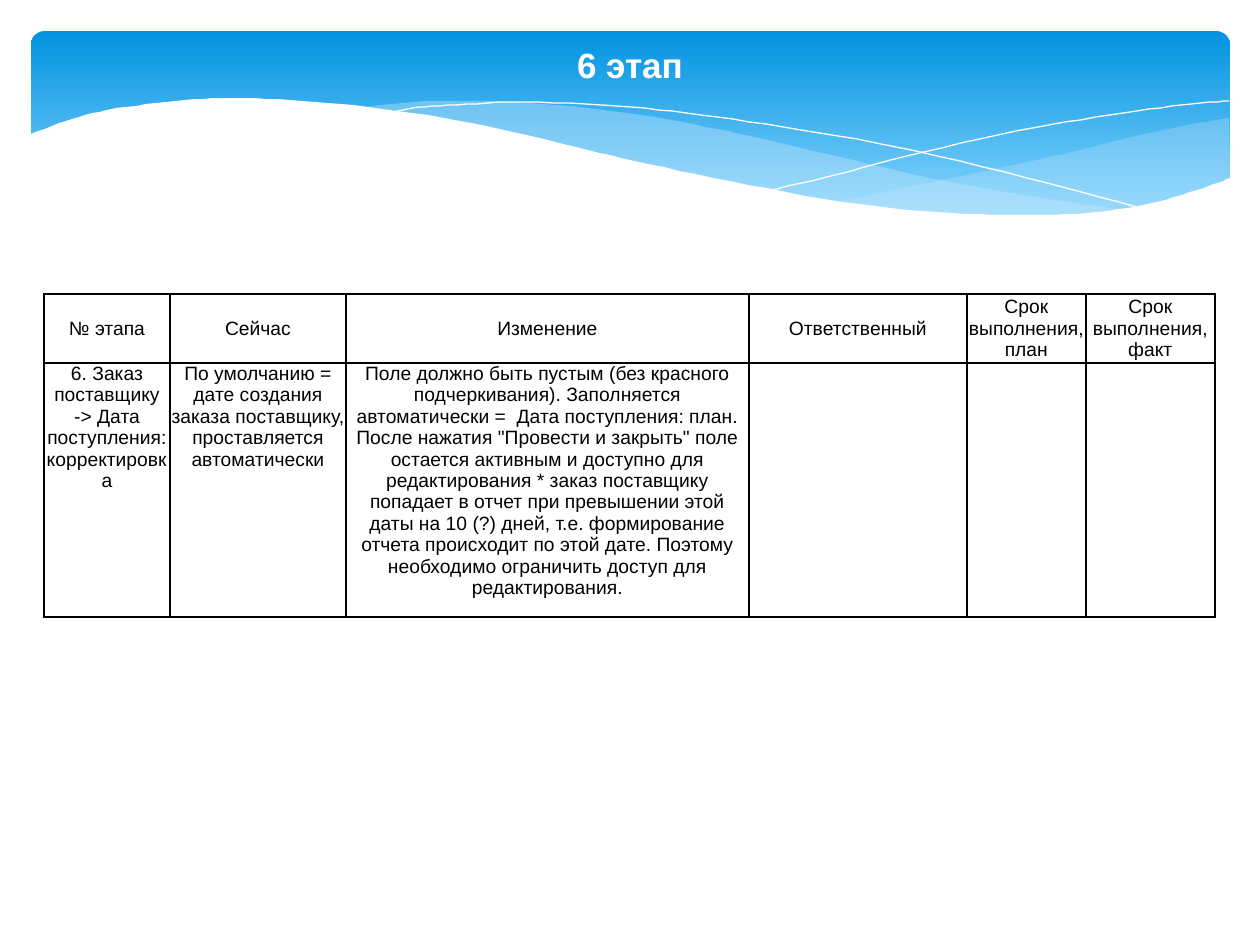
from pptx import Presentation, util as u
from pptx.dml.color import RGBColor
from pptx.enum import shapes, text
from pptx.oxml import parse_xml
from pptx.oxml.ns import nsdecls, qn
from lxml import etree

PX = 914400 / 126
COLORS = {"white": "FFFFFF", "black": "000000", "sky_top": "0293E0",
          "sky_bottom": "83D3FE", "mist": "C6E7FC"}
FONT = "Arial"

HEADERS = ["№ этапа", "Сейчас", "Изменение", "Ответственный",
           "Срок выполнения, план", "Срок выполнения, факт"]
STAGE = [
    "6. Заказ поставщику -> Дата поступления: корректировка",
    "По умолчанию = дате создания заказа поставщику, проставляется автоматически",
    "Поле должно быть пустым (без красного подчеркивания). Заполняется "
    "автоматически =  Дата поступления: план. После нажатия \"Провести и закрыть\" "
    "поле остается активным и доступно для редактирования * заказ поставщику "
    "попадает в отчет при превышении этой даты на 10 (?) дней, т.е. формирование "
    "отчета происходит по этой дате. Поэтому необходимо ограничить доступ для "
    "редактирования.",
    "", "", ""]

RIGHT_WAVE_TOP = [(1229, 118), (1178, 127), (1123, 139), (1085, 149), (1014, 165),
                  (919, 185), (833, 202)]
RIGHT_WAVE_BOTTOM = [(833, 202), (888, 208), (954, 214), (1026, 217), (1087, 214),
                     (1140, 205), (1187, 194), (1230, 178)]
LONG_WAVE_TOP = [(1125, 210), (1055, 200), (934, 179), (793, 146), (717, 129),
                 (648, 116), (557, 105), (479, 101), (413, 102), (360, 108)]
LONG_WAVE_BOTTOM = [(360, 108), (431, 118), (509, 134), (566, 146), (668, 170),
                    (757, 189), (857, 205), (942, 214), (1017, 218), (1080, 215),
                    (1125, 210)]
FALLING_LINE = [(389, 113), (413, 108), (457, 105), (524, 102), (616, 106),
                (701, 115), (801, 130), (916, 151), (1047, 183), (1143, 209)]
RISING_LINE = [(772, 190), (823, 178), (907, 156), (1016, 131), (1110, 115),
               (1182, 105), (1229, 101)]
WHITE_WAVE = [(1231, 178), (1197, 190), (1147, 204), (1087, 213), (1019, 215),
              (937, 212), (842, 202), (730, 181), (634, 161), (563, 144),
              (460, 121), (368, 107), (290, 100), (223, 98), (166, 102),
              (107, 110), (66, 121), (29, 135)]
WHITE_BASE = [(29, 282), (1231, 282)]


def px(value):
    return u.Emu(round(value * PX))


def rgb(name):
    return RGBColor.from_string(COLORS[name])


def smooth(points, steps=6):
    """Return a Catmull-Rom curve through the points."""
    padded = [points[0], *points, points[-1]]
    curve = [points[0]]
    for a, b, c, d in zip(padded, padded[1:], padded[2:], padded[3:]):
        for step in range(1, steps + 1):
            t = step / steps
            curve.append(tuple(
                (2 * q + (r - p) * t + (2 * p - 5 * q + 4 * r - s) * t ** 2
                 + (3 * q - p - 3 * r + s) * t ** 3) / 2
                for p, q, r, s in zip(a, b, c, d)))
    return curve


def write(frame, content, size, color, bold=False):
    paragraph = frame.paragraphs[0]
    paragraph.alignment = text.PP_ALIGN.CENTER
    paragraph.font.size = u.Pt(size)
    if content:
        run = paragraph.add_run()
        run.text = content
        run.font.name = FONT
        run.font.size = u.Pt(size)
        run.font.bold = bold
        run.font.color.rgb = rgb(color)


class StageSlide:
    def __init__(self, presentation):
        self.slide = presentation.slides.add_slide(presentation.slide_layouts[5])
        self.shapes = self.slide.shapes

    def banner(self, left, top, width, height):
        shape = self.shapes.add_shape(shapes.MSO_SHAPE.ROUNDED_RECTANGLE,
                                      *map(px, (left, top, width, height)))
        shape.adjustments[0] = 0.07
        shape.shadow.inherit = False
        shape.line.fill.background()
        shape.fill.gradient()
        shape.fill.gradient_angle = 270
        stops = zip(shape.fill.gradient_stops, ("sky_top", "sky_bottom"), (0, 0.9))
        for stop, color, position in stops:
            stop.color.rgb = rgb(color)
            stop.position = position

    def outline(self, points, closed):
        builder = self.shapes.build_freeform(*points[0], scale=PX)
        builder.add_line_segments(points[1:], close=closed)
        shape = builder.convert_to_shape()
        shape.shadow.inherit = False
        return shape

    def wave(self, points, color, opacity=100):
        shape = self.outline(points, True)
        shape.line.fill.background()
        shape.fill.solid()
        shape.fill.fore_color.rgb = rgb(color)
        if opacity < 100:
            tint = shape.fill._xPr.find(".//" + qn("a:srgbClr"))
            etree.SubElement(tint, qn("a:alpha"), val=str(opacity * 1000))

    def curve(self, points, color):
        shape = self.outline(smooth(points), False)
        shape.fill.background()
        shape.line.color.rgb = rgb(color)
        shape.line.width = u.Pt(0)

    def title(self, content, left, top, width, height):
        shape = self.shapes.title
        shape.left, shape.top, shape.width, shape.height = map(
            px, (left, top, width, height))
        frame = shape.text_frame
        frame.word_wrap = True
        frame.auto_size = text.MSO_AUTO_SIZE.NONE
        frame.vertical_anchor = text.MSO_ANCHOR.MIDDLE
        write(frame, content, 20, "white", bold=True)
        self.shapes._spTree.append(shape._element)  # bring to front

    def table(self, rows, left, top, widths, heights):
        frame = self.shapes.add_table(len(rows), len(widths), px(left), px(top),
                                      px(sum(widths)), px(sum(heights)))
        table = frame.table
        table.first_row = table.horz_banding = False
        for column, width in zip(table.columns, widths):
            column.width = px(width)
        for row, height, contents in zip(table.rows, heights, rows):
            row.height = px(height)
            for cell, content in zip(row.cells, contents):
                self.format_cell(cell)
                write(cell.text_frame, content, 11, "black")
        for cell in table.rows[0].cells:
            cell.vertical_anchor = text.MSO_ANCHOR.MIDDLE

    def format_cell(self, cell):
        cell.margin_left = cell.margin_right = cell.margin_top = cell.margin_bottom = 0
        properties = cell._tc.get_or_add_tcPr()
        for side in "LRTB":
            properties.append(parse_xml(
                f'<a:ln{side} {nsdecls("a")} w="12700"><a:solidFill>'
                f'<a:srgbClr val="{COLORS["black"]}"/></a:solidFill></a:ln{side}>'))
        cell.fill.background()


def main():
    presentation = Presentation()
    presentation.slide_width, presentation.slide_height = px(1260), px(945)
    slide = StageSlide(presentation)
    slide.banner(31, 31, 1199, 197)
    slide.wave(smooth(RIGHT_WAVE_TOP) + smooth(RIGHT_WAVE_BOTTOM), "mist", 29)
    slide.wave(smooth(LONG_WAVE_TOP) + smooth(LONG_WAVE_BOTTOM), "mist", 40)
    slide.curve(FALLING_LINE, "white")
    slide.curve(RISING_LINE, "white")
    slide.wave(smooth(WHITE_WAVE) + WHITE_BASE, "white")
    slide.title("6 этап", 35, 37, 1190, 55)
    slide.table([HEADERS, STAGE], 44, 294,
                widths=[126, 176, 403, 218, 119, 129], heights=[69, 254])
    presentation.save("out.pptx")


if __name__ == "__main__":
    main()
